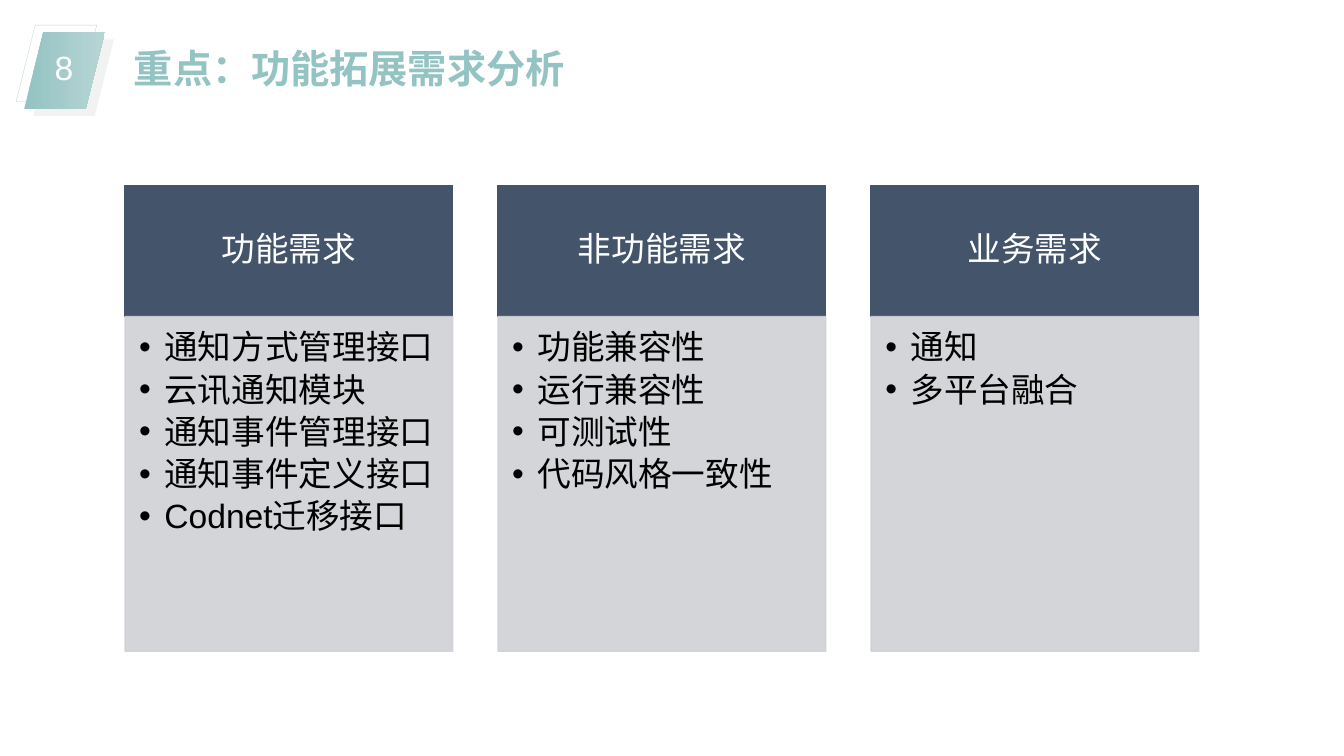
from lxml.etree import SubElement
from pptx import Presentation
from pptx.dml.color import RGBColor
from pptx.enum.shapes import MSO_SHAPE as Shape
from pptx.enum.text import MSO_ANCHOR as Anchor, PP_ALIGN as Align
from pptx.oxml.ns import qn
from pptx.util import Inches, Pt


def color(value):
    return RGBColor.from_string(value)


class SlideBuilder:
    font = "Arial"
    teal = "93C3C2"
    pale_teal = "B7D5D5"
    navy = "44546A"
    gray = "CFD1D4"

    def __init__(self, deck):
        self.page = deck.slides.add_slide(deck.slide_layouts[6])

    def shape(self, kind, left, top, width, height, fill=None, line=None, weight=1):
        shape = self.page.shapes.add_shape(
            kind, Inches(left), Inches(top), Inches(width), Inches(height))
        shape.shadow.inherit = False
        if fill:
            shape.fill.solid()
            shape.fill.fore_color.rgb = color(fill)
        else:
            shape.fill.background()
        if line:
            shape.line.color.rgb = color(line)
            shape.line.width = Pt(weight)
        else:
            shape.line.fill.background()
        return shape

    def gradient(self, shape, *stops):
        shape.fill.gradient()
        shape.fill.gradient_angle = 0
        for stop, value in zip(shape.fill.gradient_stops, stops):
            stop.color.rgb = color(value)

    def opacity(self, shape, percent):
        for node in shape._element.spPr.iter(qn("a:srgbClr")):
            SubElement(node, qn("a:alpha"), val=str(percent * 1000))

    def textbox(self, left, top, width, height, wrap):
        box = self.page.shapes.add_textbox(
            Inches(left), Inches(top), Inches(width), Inches(height))
        box.text_frame.word_wrap = wrap
        return box

    def frame(self, shape, insets, anchor):
        frame = shape.text_frame
        frame.margin_left, frame.margin_top, frame.margin_right, frame.margin_bottom = map(Inches, insets)
        frame.vertical_anchor = anchor

    def text(self, shape, lines, size, ink, align=Align.LEFT, spacing=1.0,
             after=0, bold=False, bullet=False):
        frame = shape.text_frame
        for index, line in enumerate(lines):
            para = frame.add_paragraph() if index else frame.paragraphs[0]
            para.alignment = align
            para.line_spacing = spacing
            para.space_after = Pt(after)
            if bullet:
                self.bullet(para)
            span = para.add_run()
            span.text = line
            span.font.name = self.font
            span.font.size = Pt(size)
            span.font.bold = bold
            span.font.color.rgb = color(ink)

    def bullet(self, para):
        para.level = 1
        props = para._p.get_or_add_pPr()
        props.set("marL", str(Inches(0.25)))
        props.set("indent", str(Inches(-0.25)))
        SubElement(props, qn("a:buFont"), typeface=self.font)
        SubElement(props, qn("a:buChar"), char="•")

    def badge(self, number):
        size = (0.8, 0.76)
        self.shape(Shape.PARALLELOGRAM, 0.16, 0.25, *size, line="BAD7D7", weight=0.25)
        self.shape(Shape.PARALLELOGRAM, 0.33, 0.39, *size, fill="F2F2F2")
        front = self.shape(Shape.PARALLELOGRAM, 0.24, 0.32, *size)
        self.gradient(front, self.teal, self.pale_teal)
        box = self.textbox(0.33, 0.36, 0.61, 0.54, wrap=False)
        box.text_frame.vertical_anchor = Anchor.MIDDLE
        self.text(box, [number], 24, "FFFFFF", Align.CENTER, 1.2)

    def title(self, wording):
        box = self.textbox(1.23, 0.39, 5.43, 0.57, wrap=True)
        self.text(box, [wording], 28, self.teal, bold=True)

    def card(self, left, heading, items):
        head = self.shape(Shape.RECTANGLE, left, 1.84, 3.25, 1.3, self.navy, self.navy)
        self.frame(head, (0.19, 0.11, 0.19, 0.11), Anchor.MIDDLE)
        self.text(head, [heading], 24, "FFFFFF", Align.CENTER, 0.9)
        body = self.shape(Shape.RECTANGLE, left, 3.14, 3.25, 3.32, self.gray, self.gray)
        self.opacity(body, 90)
        self.frame(body, (0.14, 0.14, 0.19, 0.21), Anchor.TOP)
        self.text(body, items, 24, "000000", spacing=0.9, after=4.3, bullet=True)


def main():
    deck = Presentation()
    deck.slide_width = Inches(13.33)
    deck.slide_height = Inches(7.5)
    builder = SlideBuilder(deck)
    builder.badge("8")
    builder.title("重点：功能拓展需求分析")
    requirements = {
        "功能需求": ["通知方式管理接口", "云讯通知模块", "通知事件管理接口",
                 "通知事件定义接口", "Codnet迁移接口"],
        "非功能需求": ["功能兼容性", "运行兼容性", "可测试性", "代码风格一致性"],
        "业务需求": ["通知", "多平台融合"],
    }
    for column, (heading, items) in enumerate(requirements.items()):
        builder.card(1.24 + 3.7 * column, heading, items)
    deck.save("out.pptx")


if __name__ == "__main__":
    main()
